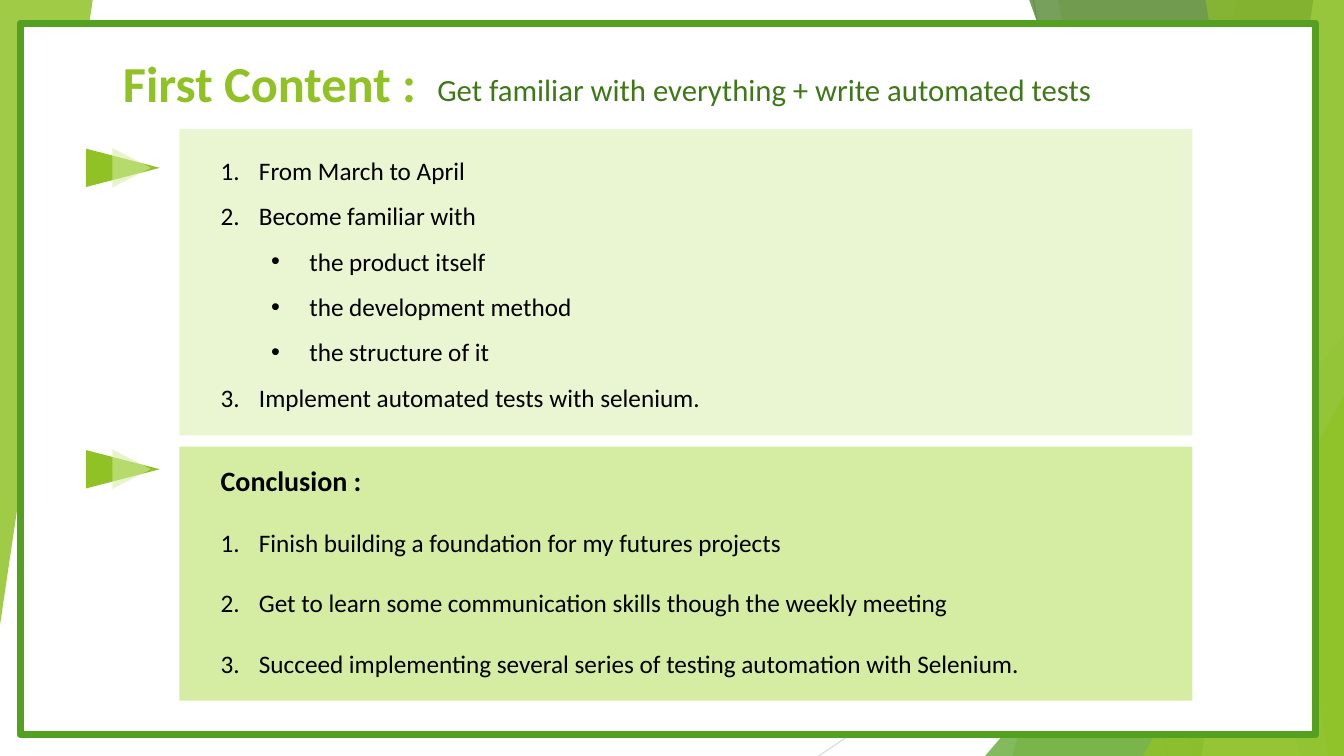
from dataclasses import dataclass

from lxml.etree import SubElement
from pptx import Presentation
from pptx.dml.color import RGBColor
from pptx.enum.shapes import MSO_CONNECTOR, MSO_SHAPE
from pptx.enum.text import MSO_ANCHOR, MSO_AUTO_SIZE, PP_ALIGN
from pptx.oxml.ns import qn
from pptx.util import Inches, Pt

SLIDE_WIDTH, SLIDE_HEIGHT = Inches(13.33), Inches(7.5)


@dataclass(frozen=True)
class Theme:
    font: str = "Calibri"
    lime: str = "90C226"
    green: str = "54A021"
    forest: str = "3F7819"
    pale_lime: str = "C0E474"
    light_panel: str = "EAF6D1"
    strong_panel: str = "D5EDA2"
    white: str = "FFFFFF"
    ink: str = "000000"
    grey: str = "BFBFBF"
    light_grey: str = "D9D9D9"
    title_size: int = 36
    subtitle_size: int = 22
    heading_size: int = 20
    body_size: int = 18


THEME = Theme()


def across(percent):
    return round(SLIDE_WIDTH * percent / 100)


def down(percent):
    return round(SLIDE_HEIGHT * percent / 100)


def place(left, top, width, height):
    """Turn percentages of the slide into a position and a size."""
    return across(left), down(top), across(width), down(height)


def paint(shape, color, opacity=100):
    shape.shadow.inherit = False
    shape.fill.solid()
    shape.fill.fore_color.rgb = RGBColor.from_string(color)
    shape.line.fill.background()
    if opacity < 100:
        tint = shape.fill._xPr.find(qn("a:solidFill"))[0]
        SubElement(tint, qn("a:alpha"), val=str(opacity * 1000))


def add_block(slide, box, color):
    block = slide.shapes.add_shape(MSO_SHAPE.RECTANGLE, *place(*box))
    paint(block, color)
    return block


def add_triangle(slide, box, color, opacity=100, apex=0.5, rotation=0):
    triangle = slide.shapes.add_shape(MSO_SHAPE.ISOSCELES_TRIANGLE, *place(*box))
    triangle.adjustments[0] = apex
    triangle.rotation = rotation
    paint(triangle, color, opacity)


def add_facet(slide, top_edge, bottom_edge, color, opacity):
    """Fill the area between a slanted edge and the slide's right side."""
    builder = slide.shapes.build_freeform(across(top_edge), 0)
    corners = [(100, 0), (100, 100), (bottom_edge, 100)]
    builder.add_line_segments([(across(x), down(y)) for x, y in corners])
    paint(builder.convert_to_shape(), color, opacity)


def add_hairline(slide, start, end, color):
    hairline = slide.shapes.add_connector(
        MSO_CONNECTOR.STRAIGHT, across(start[0]), down(start[1]), across(end[0]), down(end[1]))
    hairline.line.color.rgb = RGBColor.from_string(color)
    hairline.line.width = Pt(0.75)
    SubElement(hairline._element.spPr, qn("a:effectLst"))


def add_backdrop(slide):
    add_hairline(slide, (76.9, 0), (86.85, 100), THEME.grey)
    add_hairline(slide, (100, 53.73), (60.9, 100), THEME.light_grey)
    add_facet(slide, 92.1, 75.3, THEME.lime, 30)
    add_facet(slide, 78.75, 88.72, THEME.lime, 20)
    add_triangle(slide, (73.3, 44.4, 26.7, 55.6), THEME.green, 72, apex=1)
    add_facet(slide, 76.58, 96.83, THEME.forest, 70)
    add_facet(slide, 97.72, 89.4, THEME.pale_lime, 70)
    add_facet(slide, 89.7, 98.85, THEME.lime, 65)
    add_triangle(slide, (85.05, 52.4, 14.95, 47.6), THEME.lime, 80, apex=1)
    add_triangle(slide, (0, 0, 6.9, 82.67), THEME.lime, 85, apex=1, rotation=180)
    frame = add_block(slide, (1.5, 3.07, 96.38, 94.13), THEME.white)
    frame.line.color.rgb = RGBColor.from_string(THEME.green)
    frame.line.width = Pt(5)


def add_pointer(slide, middle):
    """Draw a right-pointing arrowhead with a pale glint, centred on a height."""
    for center, width, height, color, opacity in [
            (9.15, 2.85, 9.73, THEME.lime, 100),
            (9.79, 2.93, 5.07, THEME.strong_panel, 56)]:
        box = (center - width / 2, middle - height / 2, width, height)
        add_triangle(slide, box, color, opacity, rotation=90)


def add_run(paragraph, words, size, color, bold=False):
    run = paragraph.add_run()
    run.text = words
    run.font.name = THEME.font
    run.font.size = Pt(size)
    run.font.bold = bold
    run.font.color.rgb = RGBColor.from_string(color)


def set_marker(paragraph, numbered):
    properties = paragraph._p.get_or_add_pPr()
    properties.set("marL", str(Inches(0.38 if numbered else 0.88)))
    properties.set("indent", str(Inches(-0.38)))
    if numbered:
        SubElement(properties, qn("a:buFont"), typeface="+mj-lt")
        SubElement(properties, qn("a:buAutoNum"), type="arabicPeriod")
    else:
        paragraph.level = 1
        SubElement(properties, qn("a:buFont"), typeface="Arial")
        SubElement(properties, qn("a:buChar"), char="•")


def add_text_frame(slide, box):
    frame = slide.shapes.add_textbox(*place(*box)).text_frame
    frame.word_wrap = True
    frame.auto_size = MSO_AUTO_SIZE.SHAPE_TO_FIT_TEXT
    return frame


def add_paragraph(frame, spacing=1.0):
    first = frame.paragraphs[0]
    paragraph = frame.add_paragraph() if first.runs else first
    paragraph.alignment = PP_ALIGN.JUSTIFY
    paragraph.line_spacing = spacing
    return paragraph


def add_list(frame, items, spacing):
    """Add numbered items; a tuple holds the bullets under the item before it."""
    for item in items:
        numbered = isinstance(item, str)
        for words in [item] if numbered else item:
            paragraph = add_paragraph(frame, spacing)
            set_marker(paragraph, numbered)
            add_run(paragraph, words, THEME.body_size, THEME.ink)


def set_title(slide, words, box):
    title = slide.shapes.title
    title.left, title.top, title.width, title.height = place(*box)
    frame = title.text_frame
    frame.auto_size = MSO_AUTO_SIZE.NONE
    frame.vertical_anchor = MSO_ANCHOR.BOTTOM
    frame.paragraphs[0].alignment = PP_ALIGN.LEFT
    add_run(frame.paragraphs[0], words, THEME.title_size, THEME.lime, bold=True)
    title.element.getparent().append(title.element)  # bring above the white frame


def main():
    presentation = Presentation()
    presentation.slide_width, presentation.slide_height = SLIDE_WIDTH, SLIDE_HEIGHT
    slide = presentation.slides.add_slide(presentation.slide_layouts[5])

    add_backdrop(slide)
    add_block(slide, (13.35, 17.07, 75.38, 40.53), THEME.light_panel)
    add_pointer(slide, 22.2)
    add_block(slide, (13.35, 59.07, 75.38, 33.6), THEME.strong_panel)
    add_pointer(slide, 62.07)

    set_title(slide, "First Content :", (8.4, 5.2, 32.63, 10.4))
    subtitle = add_paragraph(add_text_frame(slide, (31.8, 8.67, 56.93, 6.27)))
    add_run(subtitle, "Get familiar with everything + write automated tests",
            THEME.subtitle_size, THEME.forest)

    add_list(add_text_frame(slide, (15.68, 17.87, 69.08, 41.73)), [
        "From March to April",
        "Become familiar with",
        ("the product itself", "the development method", "the structure of it"),
        "Implement automated tests with selenium.",
    ], spacing=1.5)

    conclusion = add_text_frame(slide, (15.68, 58.4, 73.88, 36.4))
    add_run(add_paragraph(conclusion, 1.5), "Conclusion :",
            THEME.heading_size, THEME.ink, bold=True)
    add_list(conclusion, [
        "Finish building a foundation for my futures projects",
        "Get to learn some communication skills though the weekly meeting",
        "Succeed implementing several series of testing automation with Selenium.",
    ], spacing=2.0)

    presentation.save("out.pptx")


if __name__ == "__main__":
    main()
